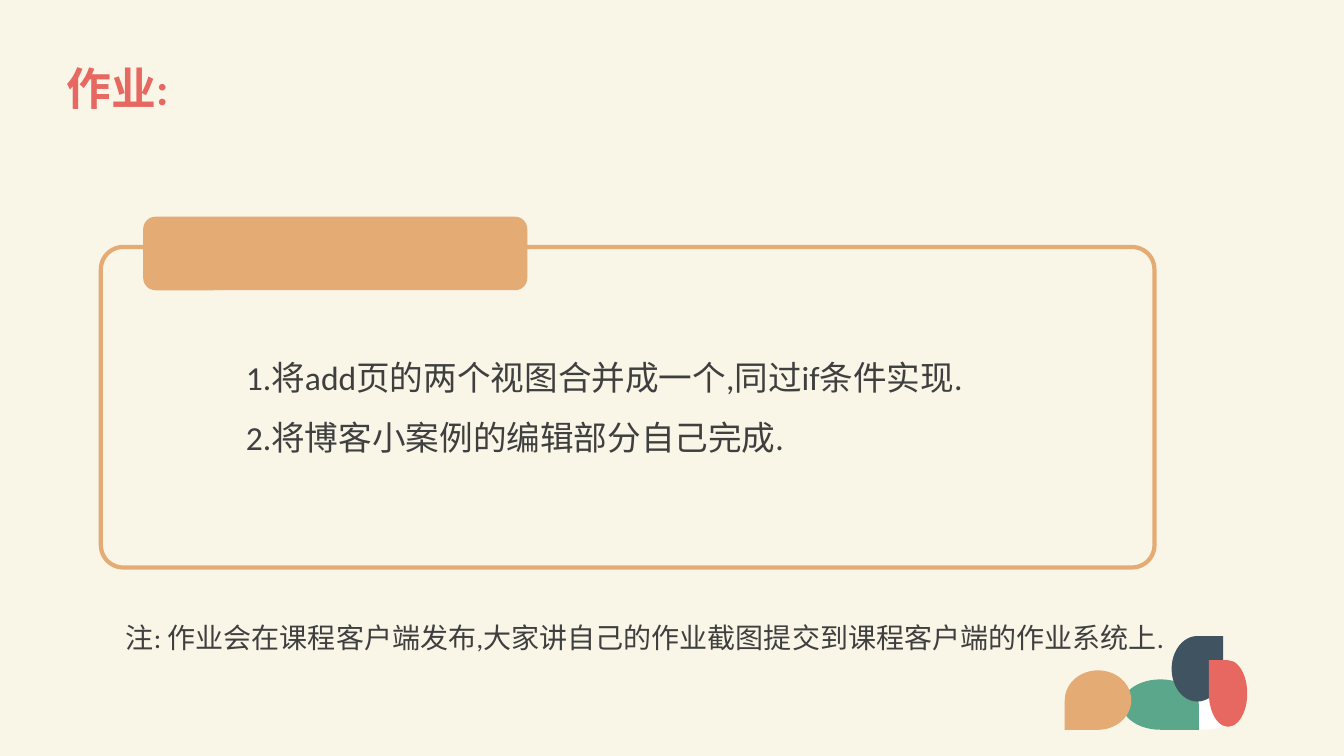
from pptx import Presentation
from pptx.dml.color import RGBColor
from pptx.enum.shapes import MSO_SHAPE as SHAPE
from pptx.enum.text import MSO_ANCHOR as ANCHOR, MSO_AUTO_SIZE as FIT
from pptx.util import Inches, Pt

CREAM, WHITE, INK = "F9F6E7", "FFFFFF", "3F3F3F"
CORAL, SAND, GREEN, NAVY = "E76861", "E5AB74", "5BA78C", "3F5361"


def rgb(value):
    return RGBColor.from_string(value)


class Deck:
    """Holds the style and the current slide and draws its elements."""

    font = "Calibri"

    def __init__(self):
        self.prs = Presentation()
        self.prs.slide_width, self.prs.slide_height = Inches(13.33), Inches(7.5)
        self.s = self.prs.slides.add_slide(self.prs.slide_layouts[6])
        fill = self.s.background.fill
        fill.solid()
        fill.fore_color.rgb = rgb(CREAM)

    def shape(self, kind, x, y, w, h, fill=None, line=None, adj=None):
        sp = self.s.shapes.add_shape(kind, Inches(x), Inches(y), Inches(w), Inches(h))
        sp.shadow.inherit = False
        if fill:
            sp.fill.solid()
            sp.fill.fore_color.rgb = rgb(fill)
        else:
            sp.fill.background()
        if line:
            sp.line.color.rgb = rgb(line)
            sp.line.width = Pt(3)
        else:
            sp.line.fill.background()
        if adj is not None:
            sp.adjustments[0] = adj
        return sp

    def petal(self, x, y, w, h, fill, turn=0):
        if turn % 180:
            x, y, w, h = x + (w - h) / 2, y + (h - w) / 2, h, w
        self.shape(SHAPE.TEAR, x, y, w, h, fill, adj=1).rotation = turn

    def text(self, x, y, w, h, lines, size, color=INK, bold=False,
             spacing=None, anchor=ANCHOR.TOP, fit=FIT.SHAPE_TO_FIT_TEXT):
        sp = self.s.shapes.add_textbox(Inches(x), Inches(y), Inches(w), Inches(h))
        tf = sp.text_frame
        tf.word_wrap = True
        tf.auto_size = fit
        tf.vertical_anchor = anchor
        for i, line in enumerate(lines):
            p = tf.add_paragraph() if i else tf.paragraphs[0]
            if spacing:
                p.line_spacing = spacing
            r = p.add_run()
            r.text = line
            r.font.name, r.font.size, r.font.bold = self.font, Pt(size), bold
            r.font.color.rgb = rgb(color)


def main():
    d = Deck()
    d.shape(SHAPE.OVAL, 11.64, 6.94, 0.6, 0.3, WHITE)
    d.text(0.56, 0.37, 12.29, 1.06, ["作业:"], 32, CORAL, bold=True,
           spacing=0.9, anchor=ANCHOR.MIDDLE, fit=FIT.NONE)

    d.petal(11.13, 6.74, 0.76, 0.5, GREEN, 90)
    d.petal(11.62, 6.31, 0.51, 0.65, NAVY)
    d.petal(11.99, 6.55, 0.38, 0.66, CORAL, 270)
    d.petal(10.56, 6.65, 0.66, 0.59, SAND, 180)

    d.shape(SHAPE.ROUNDED_RECTANGLE, 1, 2.45, 10.45, 3.18, line=SAND, adj=0.07)
    d.shape(SHAPE.ROUNDED_RECTANGLE, 1.42, 2.15, 3.81, 0.73, SAND)
    d.text(2.34, 3.29, 7.36, 1.31,
           ["1.将add页的两个视图合并成一个,同过if条件实现.",
            "2.将博客小案例的编辑部分自己完成."], 24, spacing=1.5)
    d.text(1.15, 6.11, 10.47, 0.44,
           ["注: 作业会在课程客户端发布,大家讲自己的作业截图提交到课程客户端的作业系统上."], 20)
    d.prs.save("out.pptx")


if __name__ == "__main__":
    main()
